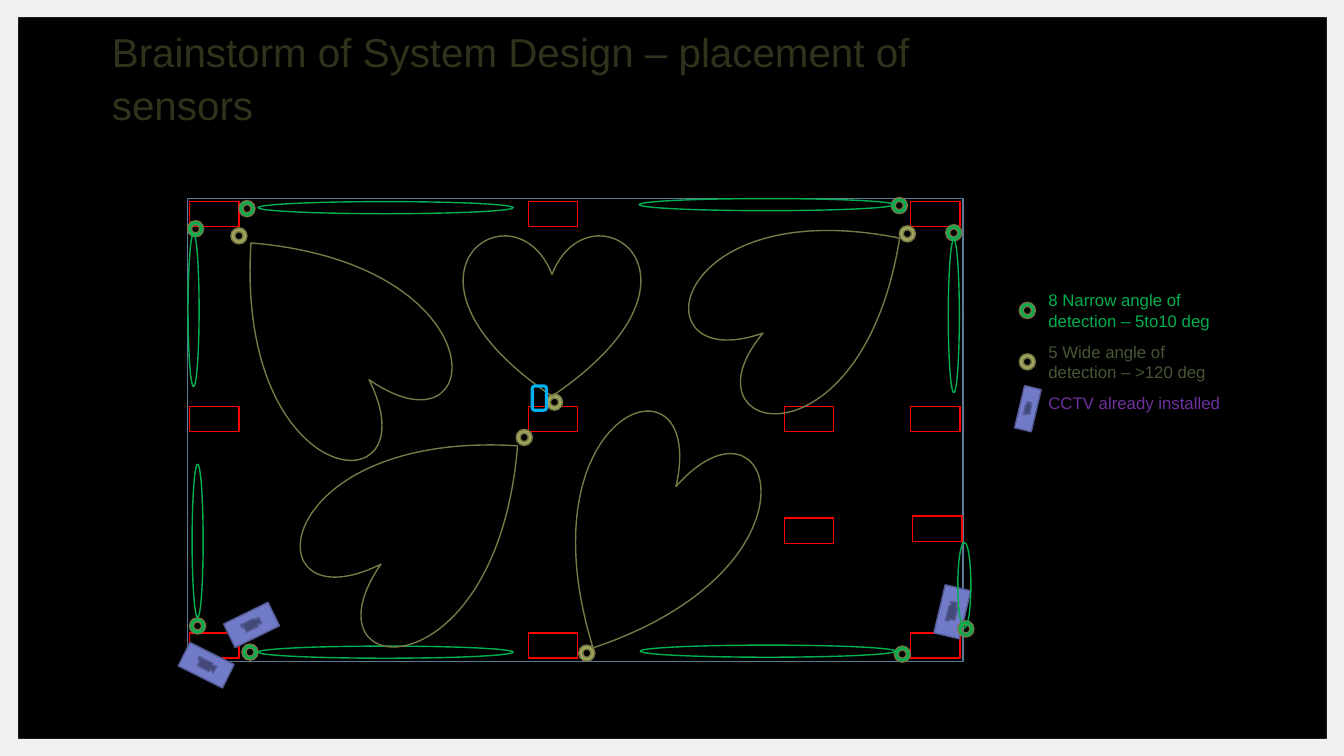
from dataclasses import dataclass
from itertools import product

from lxml.etree import SubElement
from pptx import Presentation
from pptx.dml.color import RGBColor
from pptx.enum.shapes import MSO_SHAPE
from pptx.enum.text import MSO_ANCHOR, MSO_AUTO_SIZE, PP_ALIGN
from pptx.util import Inches, Pt

COLS, ROWS = 1333, 750
CELL = Inches(0.01)


@dataclass(frozen=True)
class Theme:
    """Colours and type sizes of the slide."""
    font: str = "Arial"
    head: float = 28.8
    body: float = 12
    back: str = "000000"
    frame: str = "F0F0F3"
    title: str = "31321C"
    wall: str = "597995"
    pillar: str = "FF0000"
    narrow: str = "00B050"
    wide: str = "A0A45D"
    edge: str = "767945"
    note: str = "475635"
    violet: str = "7030A0"
    camera: str = "717BC8"
    rim: str = "545B94"
    tag: str = "00B0F0"


THEME = Theme()


def rgb(code):
    """Turn a hex code into a colour."""
    return RGBColor.from_string(code)


def place(box, x, y, w, h):
    """Give slide lengths for a spot counted in cells from the box corner."""
    return [round(n * CELL) for n in (box[0] + x, box[1] + y, w, h)]


def draw(slide, kind, box, spot, line, fill=None, turn=0, width=1):
    """Add one preset shape inside the box."""
    shape = slide.shapes.add_shape(kind, *place(box, *spot))
    shape.shadow.inherit = False
    shape.rotation = turn
    shape.line.color.rgb = rgb(line)
    shape.line.width = Pt(width)
    if fill:
        shape.fill.solid()
        shape.fill.fore_color.rgb = rgb(fill)
    else:
        shape.fill.background()


def sensor(slide, box, x, y, fill):
    """Add a ring that marks a sensor."""
    draw(slide, MSO_SHAPE.DONUT, box, (x, y, 16, 16), THEME.edge, fill)


def camera(slide, box, spot, turn):
    """Add a turned camera sign."""
    draw(slide, MSO_SHAPE.ACTION_BUTTON_MOVIE, box, spot, THEME.rim,
         THEME.camera, turn)


def style(par, size, color):
    """Set the font of a paragraph."""
    par.alignment = PP_ALIGN.LEFT
    par.font.name = THEME.font
    par.font.size = Pt(size)
    par.font.color.rgb = rgb(color)


def border(slide, box):
    """Draw the pale frame around the dark slide."""
    x, y, w, h = box
    build = slide.shapes.build_freeform(x, y, scale=CELL)
    build.add_line_segments([(x + w, y), (x + w, y + h), (x, y + h)])
    left, top, right, low = x + 18, y + 17, x + w - 17, y + h - 17
    build.move_to(left, top)
    build.add_line_segments([(left, low), (right, low), (right, top)])
    shape = build.convert_to_shape()
    shape.shadow.inherit = False
    shape.fill.solid()
    shape.fill.fore_color.rgb = rgb(THEME.frame)
    shape.line.fill.background()


def heading(slide, box):
    """Fill and move the title."""
    title = slide.shapes.title
    title.left, title.top, title.width, title.height = place(box, 0, 0, *box[2:])
    frame = title.text_frame
    frame.text = "Brainstorm of System Design – placement of sensors"
    frame.word_wrap = True
    frame.auto_size = MSO_AUTO_SIZE.NONE
    frame.vertical_anchor = MSO_ANCHOR.BOTTOM
    par = frame.paragraphs[0]
    par.line_spacing = 1.1
    style(par, THEME.head, THEME.title)


def room(slide, box):
    """Draw the floor plan with its pillars, sensors and cameras."""
    draw(slide, MSO_SHAPE.RECTANGLE, box, (0, 0, *box[2:]), THEME.wall)
    pillars = [*product((2, 338, 717), (3, 206, 431)),
               (719, 315), (592, 317), (592, 206)]
    for x, y in pillars:
        draw(slide, MSO_SHAPE.RECTANGLE, box, (x, y, 49, 25), THEME.pillar)
    for x, y in [(43, 29), (706, 27), (356, 194), (388, 443), (326, 229)]:
        sensor(slide, box, x, y, THEME.wide)
    for x, y, turn in [(39, 410, 333.9), (-6, 450, 26.6), (734, 397, 283.3)]:
        camera(slide, box, (x, y, 49, 26), turn)
    for x, y in [(0, 22), (51, 2), (698, -1), (752, 26),
                 (2, 416), (54, 442), (701, 444), (764, 419)]:
        sensor(slide, box, x, y, THEME.narrow)
    beams = [(70, 3, 253, 12), (448, 0, 253, 12),
             (449, 443, 253, 12), (70, 444, 253, 12),
             (4.5, 263.5, 11, 152), (0.5, 34.5, 11, 152),
             (754.5, 40.5, 11, 152), (764, 341, 13, 85)]
    for spot in beams:
        draw(slide, MSO_SHAPE.OVAL, box, spot, THEME.narrow)
    hearts = [((151, 204, 172, 239), 229.1), ((55, 15, 172, 239), 139.2),
              ((532, -8, 168, 220), 235.2), ((371, 219, 172, 240), 27.2),
              ((274, 35, 175, 161), 0)]
    for spot, turn in hearts:
        draw(slide, MSO_SHAPE.HEART, box, spot, THEME.edge, turn=turn)
    draw(slide, MSO_SHAPE.ROUNDED_RECTANGLE, box, (342, 186, 14, 24),
         THEME.tag, width=2.25)


def legend(slide, box):
    """List what each sign means."""
    step = 50
    notes = [("8 Narrow angle of detection – 5to10 deg", THEME.narrow),
             ("5 Wide angle of detection – >120 deg", THEME.note),
             ("CCTV already installed", THEME.violet)]
    for row, (words, color) in enumerate(notes):
        spot = place(box, 19, row * (step + 1), box[2] - 19, step)
        frame = slide.shapes.add_textbox(*spot).text_frame
        frame.word_wrap = True
        frame.text = words
        style(frame.paragraphs[0], THEME.body, color)
    for row, fill in enumerate((THEME.narrow, THEME.wide)):
        sensor(slide, box, 0, 17 + row * (step + 1), fill)
    camera(slide, box, (-13, 114, 43, 17), 283.3)


def main():
    """Build and save the slide."""
    deck = Presentation()
    deck.slide_width, deck.slide_height = COLS * CELL, ROWS * CELL
    slide = deck.slides.add_slide(deck.slide_layouts[5])
    slide.background.fill.solid()
    slide.background.fill.fore_color.rgb = rgb(THEME.back)
    border(slide, (0, 0, COLS, ROWS))
    heading(slide, (101, 76, 889, 57))
    room(slide, (186, 197, 769, 459))
    legend(slide, (1011, 283, 226, 132))
    deck.save("out.pptx")


if __name__ == "__main__":
    main()
